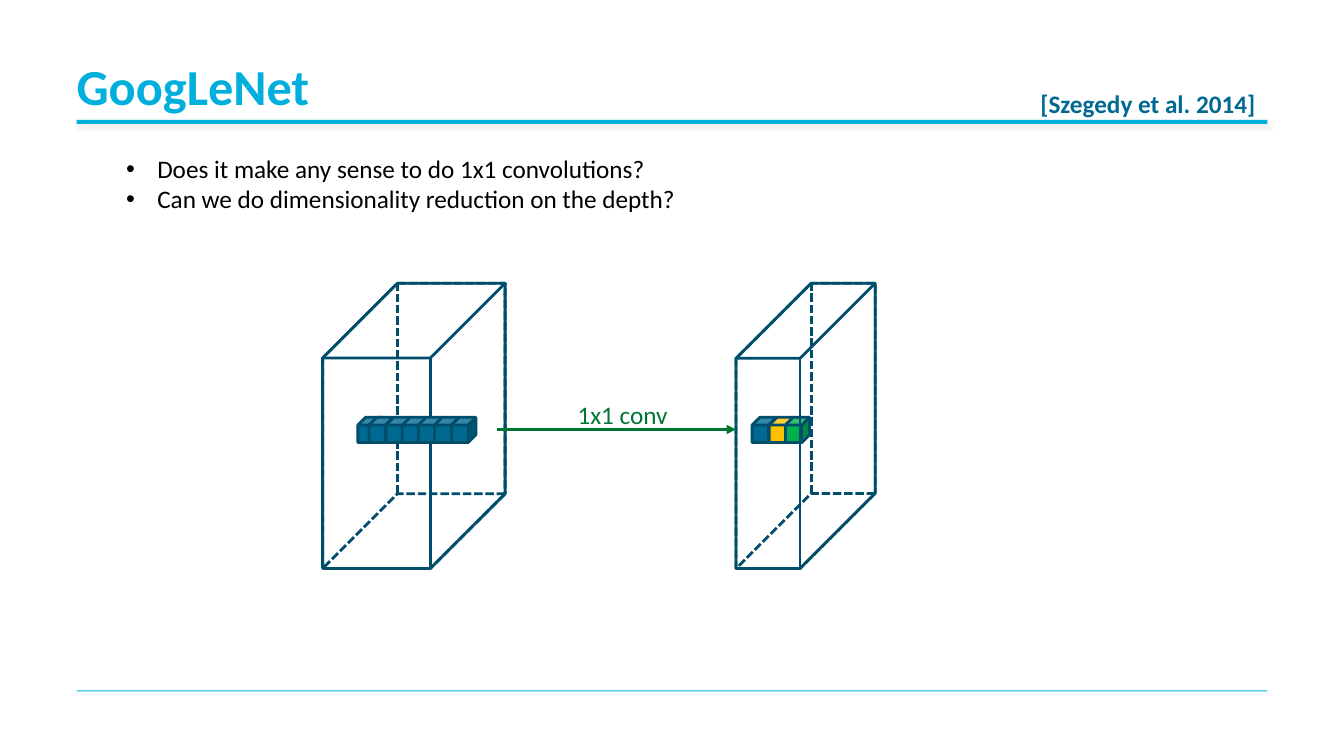
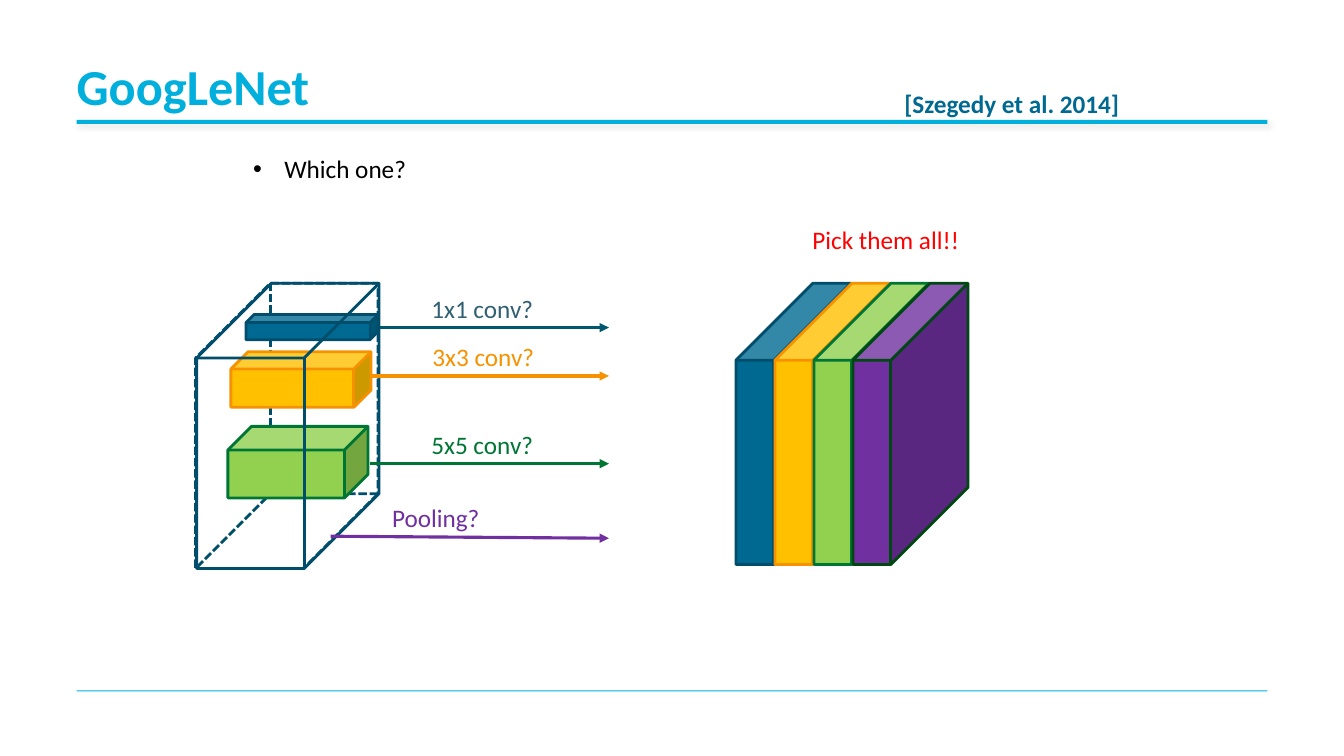
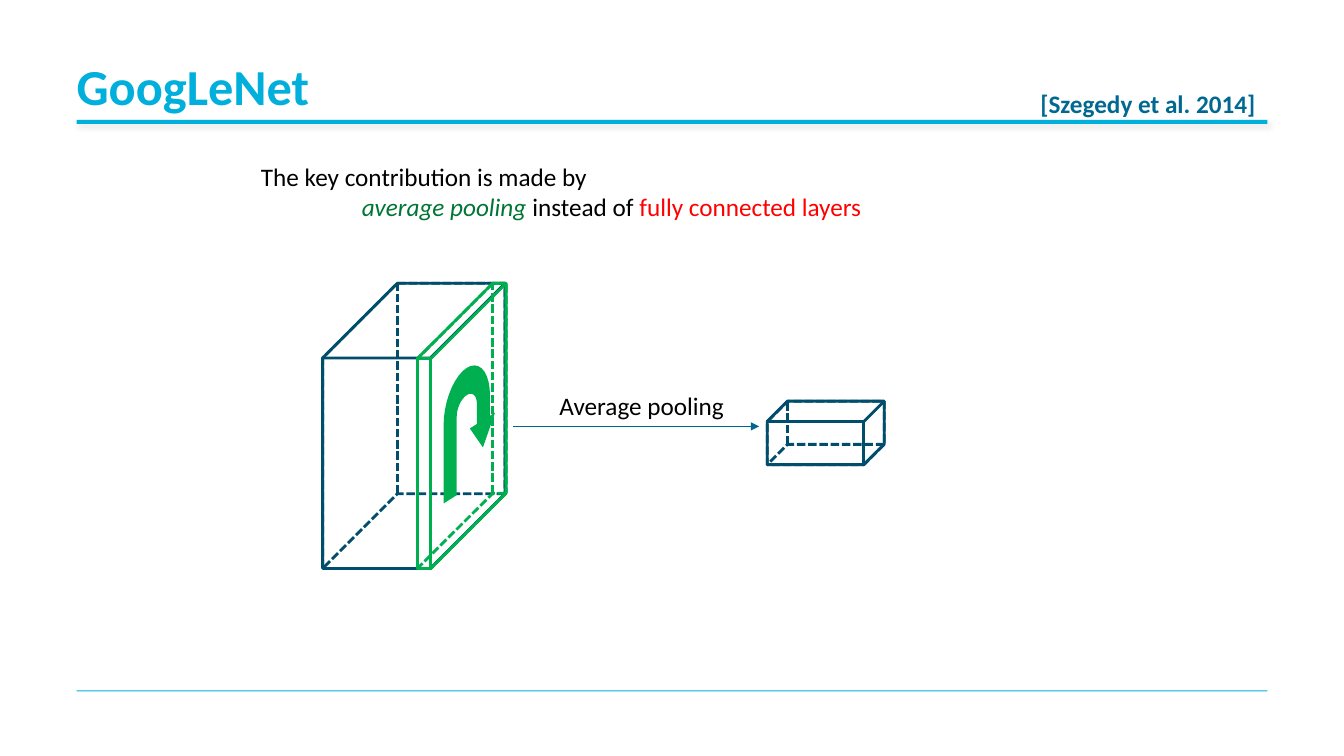
import math

import lxml.etree
import pptx
import pptx.dml.color
import pptx.enum.dml
import pptx.enum.shapes
import pptx.enum.text
import pptx.oxml.ns
import pptx.util

SCALE = 9144
FONT = "Calibri"
CYAN, TEAL, NAVY, BLACK = "00AFDC", "006991", "004E6B", "000000"
GREEN, LEAF, LIME = "007635", "00B050", "92D050"
GOLD, ORANGE, PURPLE, RED = "FFC000", "F69200", "7030A0", "FF0000"
TITLE_ONLY, TITLE_AND_BODY = 5, 1


def px(length):
    return pptx.util.Emu(round(length * SCALE))


def colour(value):
    return pptx.dml.color.RGBColor.from_string(value)


def add_xml(parent, tag, **attributes):
    return lxml.etree.SubElement(parent, pptx.oxml.ns.qn(tag), attributes)


class Sketch:
    """Holds the deck style and draws elements on the current slide."""

    def __init__(self):
        self.deck = pptx.Presentation()
        self.deck.slide_width, self.deck.slide_height = px(1333), px(750)
        self.page = None

    def new_page(self, title, citation, citation_left, layout=TITLE_AND_BODY):
        self.page = self.deck.slides.add_slide(self.deck.slide_layouts[layout])
        rule = self.band(119, 4)
        effects = rule.element.spPr.find(pptx.oxml.ns.qn("a:effectLst"))
        shadow = add_xml(effects, "a:outerShdw", blurRad="50800", dist="25400", dir="2700000")
        add_xml(add_xml(shadow, "a:srgbClr", val=BLACK), "a:alpha", val="10000")
        self.band(685, 1)
        box = self.page.shapes.title
        self.place(box, 76, 57, 1181, 58)
        frame = box.text_frame
        frame.margin_left = frame.margin_top = frame.margin_right = frame.margin_bottom = 0
        frame.vertical_anchor = pptx.enum.text.MSO_ANCHOR.MIDDLE
        para = frame.paragraphs[0]
        para.alignment = pptx.enum.text.PP_ALIGN.LEFT
        para.line_spacing = pptx.util.Pt(42)
        self.span(para, title, CYAN, size=36, bold=True)
        self.label(citation, citation_left, 83, 235, TEAL, bold=True)

    def place(self, box, left, top, width, height):
        box.left, box.top, box.width, box.height = map(px, (left, top, width, height))

    def paint(self, shape, fill=None, line=None, dashed=False):
        shape.shadow.inherit = False
        if fill:
            shape.fill.solid()
            shape.fill.fore_color.rgb = colour(fill)
        else:
            shape.fill.background()
        if line:
            shape.line.color.rgb = colour(line)
            shape.line.width = pptx.util.Pt(2)
        else:
            shape.line.fill.background()
        if dashed:
            shape.line.dash_style = pptx.enum.dml.MSO_LINE.SQUARE_DOT

    def shape(self, kind, left, top, width, height):
        return self.page.shapes.add_shape(kind, px(left), px(top), px(width), px(height))

    def band(self, top, height):
        bar = self.shape(pptx.enum.shapes.MSO_SHAPE.RECTANGLE, 76, top, 1181, height)
        self.paint(bar, CYAN)
        return bar

    def span(self, para, text, ink=BLACK, size=18, bold=False, italic=False):
        span = para.add_run()
        span.text = text
        font = span.font
        font.name, font.size, font.bold, font.italic = FONT, pptx.util.Pt(size), bold, italic
        font.color.rgb = colour(ink)

    def fit(self, frame):
        frame.word_wrap = False
        frame.auto_size = pptx.enum.text.MSO_AUTO_SIZE.SHAPE_TO_FIT_TEXT
        frame.vertical_anchor = pptx.enum.text.MSO_ANCHOR.TOP

    def text(self, left, top, width, height):
        box = self.page.shapes.add_textbox(px(left), px(top), px(width), px(height))
        self.fit(box.text_frame)
        return box.text_frame

    def label(self, text, left, top, width, ink, bold=False):
        self.span(self.text(left, top, width, 40).paragraphs[0], text, ink, bold=bold)

    def bullets(self, items, left, top, width, height):
        box = self.page.placeholders[1]
        self.place(box, left, top, width, height)
        frame = box.text_frame
        self.fit(frame)
        for index, item in enumerate(items):
            para = frame.add_paragraph() if index else frame.paragraphs[0]
            para.space_before = pptx.util.Pt(0)
            para.alignment = pptx.enum.text.PP_ALIGN.LEFT
            properties = para._p.get_or_add_pPr()
            properties.set("marL", str(px(31)))
            properties.set("indent", str(px(-31)))
            add_xml(properties, "a:buFont", typeface="Arial")
            add_xml(properties, "a:buChar", char="•")
            self.span(para, item)

    def cube(self, left, top, width, height, depth, line=NAVY, fill=None, back=False):
        cube = self.shape(pptx.enum.shapes.MSO_SHAPE.CUBE, left, top, width, height)
        cube.adjustments[0] = depth
        cube.rotation = 180 if back else 0
        self.paint(cube, fill, line, dashed=back)

    def wire_cube(self, left, top, width, height, depth, line=NAVY):
        for back in (False, True):
            self.cube(left, top, width, height, depth, line, back=back)

    def cell(self, left, fill):
        self.cube(left, 414, 24, 25, 0.32, fill=fill)

    def arrow(self, start, end, ink, weight=2.25):
        line = self.page.shapes.add_connector(
            pptx.enum.shapes.MSO_CONNECTOR.STRAIGHT, *map(px, start + end))
        line.line.color.rgb = colour(ink)
        line.line.width = pptx.util.Pt(weight)
        add_xml(line.get_or_add_ln(), "a:tailEnd", type="triangle")
        add_xml(line.element.spPr, "a:effectLst")

    def slanted_turn(self, ink):
        middle, level, slope = 463, 407, 0.63

        def arch(radius_x, radius_y, angles):
            return [(middle + radius_x * math.cos(math.radians(angle)),
                     level - radius_y * math.sin(math.radians(angle))) for angle in angles]

        outline = [(440, 485), *arch(23, 42, range(180, -1, -10)),
                   (486, 427), (491, 427), (479, 454), (466, 427), (473, 427),
                   *arch(10, 15, range(0, 181, 10)), (453, 485)]
        points = [(px(x), px(y - slope * (x - middle))) for x, y in outline]
        builder = self.page.shapes.build_freeform(*points[0], scale=1.0)
        builder.add_line_segments(points[1:], close=True)
        self.paint(builder.convert_to_shape(), ink)


def main():
    sketch = Sketch()
    title, citation = "GoogLeNet", "[Szegedy et al. 2014]"

    sketch.new_page(title, citation, 1022)
    sketch.bullets(["Does it make any sense to do 1x1 convolutions?",
                    "Can we do dimensionality reduction on the depth?"], 115, 147, 572, 71)
    sketch.wire_cube(320, 281, 181, 283, 0.41)
    for left in (355, 366, 383, 399, 415, 431, 448):
        sketch.cell(left, TEAL)
    for left, fill in ((746, TEAL), (763, GOLD), (779, LEAF)):
        sketch.cell(left, fill)
    sketch.wire_cube(730, 281, 138, 283, 0.54)
    sketch.arrow((493, 426), (730, 426), GREEN)
    sketch.label("1x1 conv", 563, 391, 111, GREEN)

    sketch.new_page(title, citation, 887)
    sketch.bullets(["Which one?"], 241, 147, 174, 40)
    sketch.cube(194, 281, 181, 283, 0.41, back=True)
    sketch.arrow((367, 325), (604, 325), "00576E")
    sketch.cube(244, 312, 131, 25, 0.32, fill=TEAL)
    sketch.cube(226, 423, 139, 71, 0.33, GREEN, LIME)
    sketch.cube(229, 349, 139, 55, 0.31, ORANGE, GOLD)
    sketch.cube(195, 281, 181, 283, 0.41)
    sketch.arrow((367, 460), (604, 460), GREEN)
    sketch.arrow((368, 373), (604, 373), ORANGE)
    sketch.arrow((328, 532), (604, 534), PURPLE)
    for text, left, top, width, ink in (("1x1 conv?", 418, 286, 122, "316072"),
                                        ("3x3 conv?", 419, 334, 122, ORANGE),
                                        ("5x5 conv?", 418, 421, 122, GREEN),
                                        ("Pooling?", 379, 493, 108, PURPLE),
                                        ("Pick them all!!", 796, 218, 173, RED)):
        sketch.label(text, left, top, width, ink)
    slabs = ((NAVY, TEAL), (ORANGE, GOLD), (GREEN, LIME), ("004811", PURPLE))
    for index, (line, fill) in enumerate(slabs):
        sketch.cube(730 + 38.67 * index, 281, 114, 279, 0.67, line, fill)

    sketch.new_page(title, citation, 1022, TITLE_ONLY)
    frame = sketch.text(249, 155, 620, 71)
    sketch.span(frame.paragraphs[0], "The key contribution is made by")
    para = frame.add_paragraph()
    para._p.get_or_add_pPr().set("marL", str(px(100)))
    sketch.span(para, "average pooling", GREEN, italic=True)
    sketch.span(para, " instead of ")
    sketch.span(para, "fully connected layers", RED)
    sketch.wire_cube(320, 281, 181, 283, 0.41)
    sketch.slanted_turn(LEAF)
    sketch.wire_cube(414, 281, 88, 283, 0.85, LEAF)
    sketch.arrow((509, 423), (753, 423), "00678E", 0.75)
    sketch.wire_cube(761, 398, 116, 63, 0.32)
    sketch.label("Average pooling", 545, 382, 185, BLACK)

    sketch.deck.save("out.pptx")


if __name__ == "__main__":
    main()
